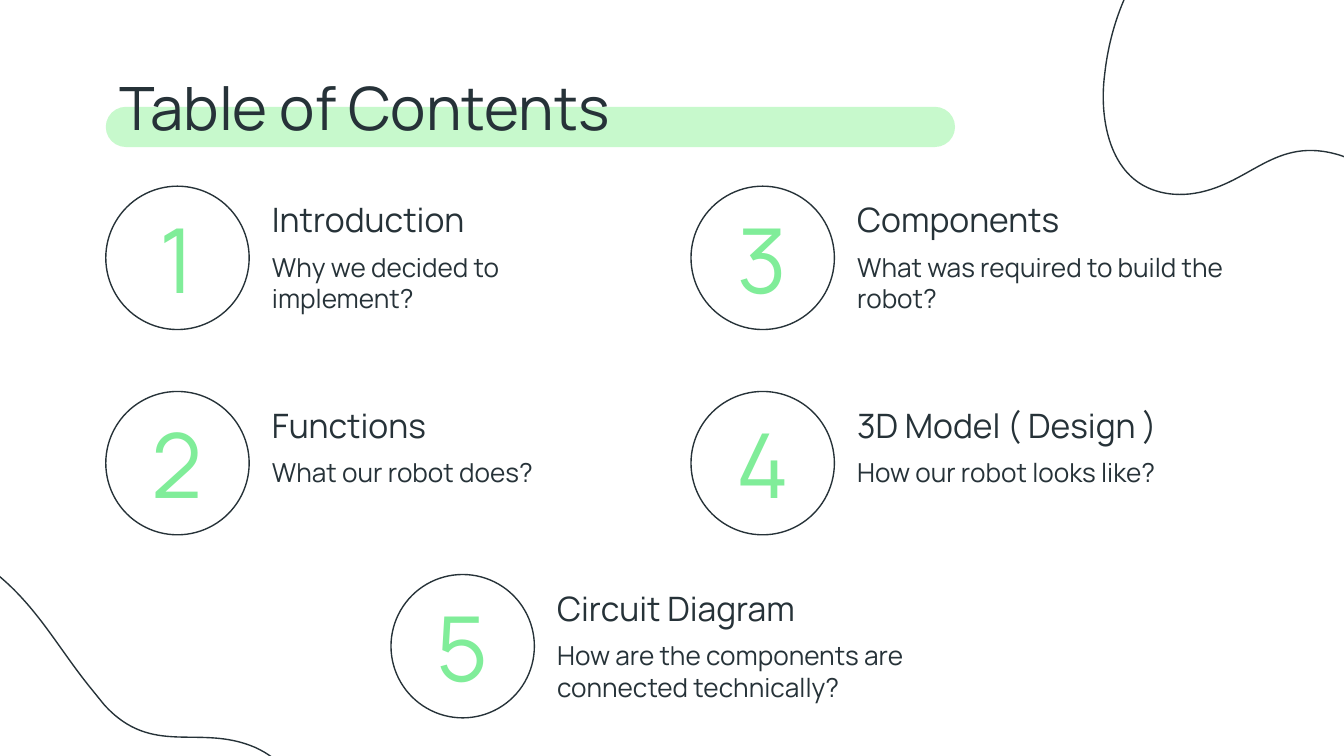
from dataclasses import dataclass

import pptx
import pptx.dml.color
import pptx.enum.shapes
import pptx.enum.text
import pptx.oxml.ns
import pptx.util
from lxml import etree
from pptx.util import Cm, Pt

RGB = pptx.dml.color.RGBColor
ALIGN = pptx.enum.text.PP_ALIGN
ANCHOR = pptx.enum.text.MSO_ANCHOR
SHAPE = pptx.enum.shapes.MSO_SHAPE
qn = pptx.oxml.ns.qn


@dataclass(frozen=True)
class Theme:
    font: str = "Manrope"
    ink: RGB = RGB(0x26, 0x32, 0x38)
    number: RGB = RGB(0x80, 0xED, 0x99)
    band: RGB = RGB(0xC7, 0xF9, 0xCC)
    title_pt: int = 32
    number_pt: int = 48
    heading_pt: int = 18
    body_pt: int = 14
    line_pt: float = 0.75


@dataclass(frozen=True)
class Entry:
    number: int
    heading: str
    body: str
    left: float
    top: float


@dataclass(frozen=True)
class Blob:
    left: float
    top: float
    rotation: float


THEME = Theme()
COL_1, COL_2, COL_MID = 2.0, 13.06, 7.39
ROW_1, ROW_2, ROW_3 = 3.52, 7.4, 10.86
CIRCLE = 2.71

ENTRIES = [
    Entry(1, "Introduction", "Why we decided to implement?", COL_1, ROW_1),
    Entry(2, "Functions", "What our robot does?", COL_1, ROW_2),
    Entry(3, "Components", "What was required to build the robot?", COL_2, ROW_1),
    Entry(4, "3D Model ( Design )", "How our robot looks like?", COL_2, ROW_2),
    Entry(5, "Circuit Diagram", "How are the components are connected technically?",
          COL_MID, ROW_3),
]

BLOBS = [Blob(20.75, -3.2, 201), Blob(-5.54, 10.41, 50.9)]

# Closed outline in hundredths of an inch: a start, then two handles and an end per curve.
BLOB_OUTLINE = [
    (354, 1),
    (345, 1), (336, 3), (326, 8),
    (286, 29), (284, 72), (231, 75),
    (226, 75), (221, 75), (215, 75),
    (191, 75), (167, 72), (145, 72),
    (117, 72), (90, 76), (61, 93),
    (11, 120), (0, 160), (11, 206),
    (27, 288), (97, 325), (178, 325),
    (212, 325), (247, 318), (282, 305),
    (392, 262), (443, 166), (417, 68),
    (410, 39), (389, 1), (354, 1),
]


def outline(sp) -> None:
    sp.shadow.inherit = False
    sp.fill.background()
    sp.line.color.rgb = THEME.ink
    sp.line.width = Pt(THEME.line_pt)


def curve_segments(sp) -> None:
    """Turn every three straight segments of a freeform into one cubic curve."""
    lines = list(sp.element.iter(qn("a:lnTo")))
    for i in range(0, len(lines), 3):
        curve = etree.Element(qn("a:cubicBezTo"))
        lines[i].addprevious(curve)
        for line in lines[i:i + 3]:
            curve.append(line[0])
            line.getparent().remove(line)


def add_blob(s, blob: Blob) -> None:
    start, *rest = BLOB_OUTLINE
    builder = s.shapes.build_freeform(*start, scale=float(Cm(0.0254)))
    builder.add_line_segments(rest, close=True)
    sp = builder.convert_to_shape(Cm(blob.left), Cm(blob.top))
    curve_segments(sp)
    sp.rotation = blob.rotation
    outline(sp)


def add_text(s, text: str, left: float, top: float, width: float, height: float,
             size: int, color: RGB = THEME.ink, centred: bool = False) -> None:
    sp = s.shapes.add_textbox(Cm(left), Cm(top), Cm(width), Cm(height))
    tf = sp.text_frame
    tf.word_wrap = True
    tf.margin_left = tf.margin_right = tf.margin_top = tf.margin_bottom = Cm(0.25)
    tf.vertical_anchor = ANCHOR.MIDDLE if centred else ANCHOR.TOP
    p = tf.paragraphs[0]
    p.text = text
    p.alignment = ALIGN.CENTER if centred else ALIGN.LEFT
    p.font.name = THEME.font
    p.font.size = Pt(size)
    p.font.color.rgb = color


def add_title(s, text: str) -> None:
    """Title over its rounded highlight band."""
    band = s.shapes.add_shape(SHAPE.ROUNDED_RECTANGLE, Cm(COL_1), Cm(2.02), Cm(16.05), Cm(0.76))
    band.adjustments[0] = 0.5
    band.shadow.inherit = False
    band.fill.solid()
    band.fill.fore_color.rgb = THEME.band
    band.line.fill.background()
    add_text(s, text, COL_1, 1.09, 21.41, 1.7, THEME.title_pt)


def add_entry(s, e: Entry) -> None:
    outline(s.shapes.add_shape(SHAPE.OVAL, Cm(e.left), Cm(e.top), Cm(CIRCLE), Cm(CIRCLE)))
    add_text(s, str(e.number), e.left + 0.12, e.top + 0.37, 2.46, 1.96,
             THEME.number_pt, THEME.number, centred=True)
    text_left = e.left + 2.89
    add_text(s, e.heading, text_left, e.top, 7.44, 1.04, THEME.heading_pt)
    add_text(s, e.body, text_left, e.top + 0.98, 7.44, 1.7, THEME.body_pt)


def main() -> None:
    prs = pptx.Presentation()
    prs.slide_width, prs.slide_height = Cm(25.4), Cm(14.29)
    s = prs.slides.add_slide(prs.slide_layouts[6])
    add_title(s, "Table of Contents")
    for blob in BLOBS:
        add_blob(s, blob)
    for entry in ENTRIES:
        add_entry(s, entry)
    prs.save("out.pptx")


if __name__ == "__main__":
    main()
